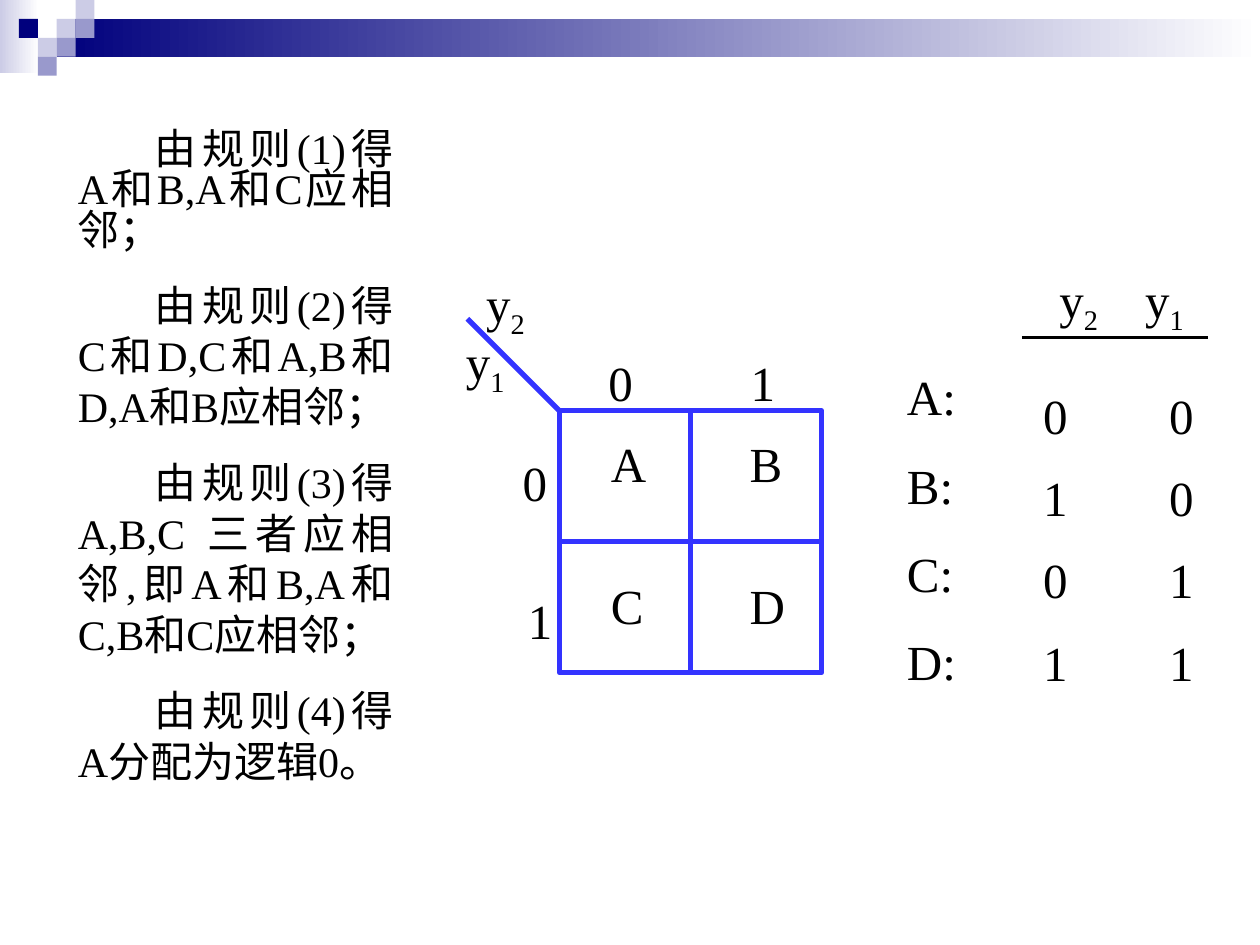
from dataclasses import dataclass
from itertools import product

from lxml import etree
from pptx import Presentation
from pptx.dml.color import RGBColor
from pptx.enum.shapes import MSO_CONNECTOR, MSO_SHAPE
from pptx.enum.text import MSO_AUTO_SIZE, PP_ALIGN
from pptx.oxml.ns import qn
from pptx.util import Inches, Pt

RECTANGLE = MSO_SHAPE.RECTANGLE
STRAIGHT = MSO_CONNECTOR.STRAIGHT
FIT_SHAPE = MSO_AUTO_SIZE.SHAPE_TO_FIT_TEXT
JUSTIFY = PP_ALIGN.JUSTIFY


@dataclass(frozen=True)
class Theme:
    font: str = "Times New Roman"
    label_size: int = 28
    rule_size: int = 24
    text: RGBColor = RGBColor(0x00, 0x00, 0x00)
    white: RGBColor = RGBColor(0xFF, 0xFF, 0xFF)
    navy: RGBColor = RGBColor(0x00, 0x00, 0x7D)
    lilac: RGBColor = RGBColor(0x99, 0x99, 0xCC)
    pale: RGBColor = RGBColor(0xCC, 0xCC, 0xE6)
    grid: RGBColor = RGBColor(0x33, 0x33, 0xFF)
    grid_width: float = 3
    rule_width: float = 1.5


THEME = Theme()


def set_attributes(target, values):
    for name, value in values.items():
        setattr(target, name, value)


def add_rectangle(page, box):
    shape = page.shapes.add_shape(RECTANGLE, *map(Inches, box))
    shape.shadow.inherit = False
    return shape


def add_block(page, box, color):
    shape = add_rectangle(page, box)
    shape.fill.solid()
    shape.fill.fore_color.rgb = color
    shape.line.fill.background()


def add_fade(page, box, color):
    shape = add_rectangle(page, box)
    shape.fill.gradient()
    shape.fill.gradient_angle = 0
    for stop, stop_color in zip(shape.fill.gradient_stops, (color, THEME.white)):
        stop.color.rgb = stop_color
    shape.line.fill.background()


def add_line(page, start, end, color, width):
    line = page.shapes.add_connector(STRAIGHT, *map(Inches, (*start, *end)))
    line.line.color.rgb = color
    line.line.width = Pt(width)
    etree.SubElement(line._element.spPr, qn("a:effectLst"))


def add_tab(para, position):
    tabs = etree.SubElement(para._p.get_or_add_pPr(), qn("a:tabLst"))
    etree.SubElement(tabs, qn("a:tab"), pos=str(Inches(position)), algn="l")


def add_span(para, text, size, subscript=False):
    span = para.add_run()
    span.text = text
    set_attributes(span.font, {"name": THEME.font, "size": Pt(size)})
    span.font.color.rgb = THEME.text
    if subscript:
        span._r.get_or_add_rPr().set("baseline", "-25000")


def add_text(page, box, lines, size=THEME.label_size, tab=None, **style):
    frame = page.shapes.add_textbox(*map(Inches, box)).text_frame
    set_attributes(frame, {"word_wrap": True, "auto_size": FIT_SHAPE})
    for index, spans in enumerate(lines):
        para = frame.add_paragraph() if index else frame.paragraphs[0]
        set_attributes(para, style)
        if tab:
            add_tab(para, tab)
        for text, subscript in spans:
            add_span(para, text, size, subscript)
    return frame


def plain(*lines):
    return [[(line, False)] for line in lines]


def variable(index):
    return [("y", False), (index, True)]


def draw_header(page, box):
    left, top, width, height = box
    step = 0.15
    add_fade(page, (left, top, 0.31, height), THEME.pale)
    add_fade(page, (left + 3 * step, top + step, width - 3 * step, 2 * step), THEME.navy)
    squares = [
        (3, 1, THEME.pale), (4, 0, THEME.pale), (4, 1, THEME.lilac),
        (2, 2, THEME.pale), (1, 1, THEME.navy), (3, 2, THEME.lilac),
        (2, 3, THEME.lilac),
    ]
    for column, row, color in squares:
        add_block(page, (left + column * step, top + row * step, step, step), color)


def draw_rules(page, box):
    rules = plain(
        "由规则(1)得A和B,A和C应相邻；",
        "由规则(2)得C和D,C和A,B和D,A和B应相邻；",
        "由规则(3)得A,B,C 三者应相邻,即A和B,A和C,B和C应相邻；",
        "由规则(4)得A分配为逻辑0。",
    )
    frame = add_text(page, box, rules, THEME.rule_size, alignment=JUSTIFY)
    for para in frame.paragraphs:
        para._p.get_or_add_pPr().set("indent", str(Inches(0.61)))
    for para in frame.paragraphs[1:]:
        para.space_before = Pt(15)
    frame.paragraphs[0].line_spacing = 0.8


def draw_state_map(page, box):
    left, top, width, height = box
    cell_width, cell_height = width / 2, height / 2
    states = ("A", "B", "C", "D")
    for state, (row, column) in zip(states, product(range(2), repeat=2)):
        label_box = (left + 0.31 + column * 1.1, top + 0.13 + row * 1.13, 0.48, 0.57)
        add_text(page, label_box, plain(state))
        cell = add_rectangle(page, (left + column * cell_width, top + row * cell_height,
                                    cell_width, cell_height))
        cell.fill.background()
        cell.line.color.rgb = THEME.grid
        cell.line.width = Pt(THEME.grid_width)
    for index, digit in enumerate(("0", "1")):
        column_box = (left + 0.29 + index * 1.13, top - 0.51, 0.42, 0.57)
        row_box = (left - 0.39 + index * 0.04, top + 0.28 + index * 1.1, 0.42, 0.57)
        for digit_box in (column_box, row_box):
            add_text(page, digit_box, plain(digit))
    add_line(page, (left - 0.73, top - 0.73), (left + 0.02, top + 0.02),
             THEME.grid, THEME.grid_width)
    add_text(page, (left - 0.68, top - 1.14, 0.6, 0.63), [variable("2")])
    add_text(page, (left - 0.84, top - 0.68, 0.6, 0.63), [variable("1")])


def draw_code_list(page, box):
    left, top, width, height = box
    heading = variable("2") + [("\t", False)] + variable("1")
    add_text(page, (left + 1.21, top, 1.35, 0.63), [heading], tab=0.68)
    add_line(page, (left + 1.01, top + 0.59), (left + width, top + 0.59),
             THEME.text, THEME.rule_width)
    add_text(page, (left, top + 0.54, 0.7, height - 0.54),
             plain("A:", "B:", "C:", "D:"), line_spacing=1.5)
    add_text(page, (left + 1.08, top + 0.73, 1.6, height - 0.73),
             plain("0\t0", "1\t0", "0\t1", "1\t1"), tab=1, line_spacing=1.4)


def main():
    deck = Presentation()
    set_attributes(deck, {"slide_width": Inches(10), "slide_height": Inches(7.5)})
    page = deck.slides.add_slide(deck.slide_layouts[6])
    draw_header(page, (0, 0, 10, 0.58))
    draw_state_map(page, (4.44, 3.26, 2.08, 2.08))
    draw_code_list(page, (7.1, 2.09, 2.49, 3.45))
    draw_rules(page, (0.52, 1, 2.7, 6.09))
    deck.save("out.pptx")


if __name__ == "__main__":
    main()
